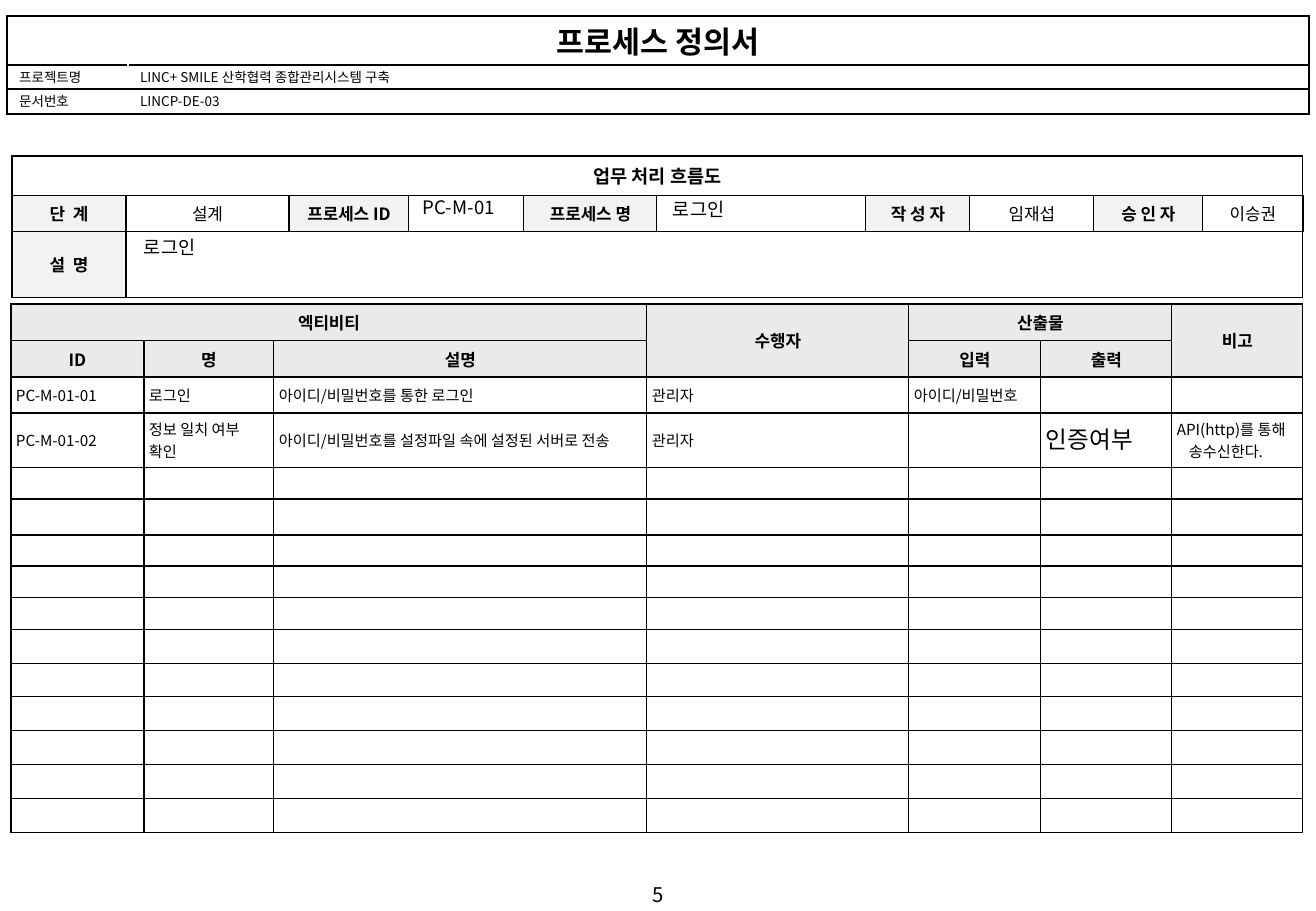
from lxml import etree
from pptx import Presentation
from pptx.dml.color import RGBColor
from pptx.enum.text import MSO_ANCHOR, PP_ALIGN
from pptx.oxml.ns import qn
from pptx.util import Pt

PX = 7526  # EMU per pixel
TOP, MIDDLE = MSO_ANCHOR.TOP, MSO_ANCHOR.MIDDLE
LEFT, CENTER = PP_ALIGN.LEFT, PP_ALIGN.CENTER
FONT = "Noto Sans CJK KR"
BLACK, WHITE = "000000", "FFFFFF"


def write(frame, text, size=9, bold=False, align=LEFT, font=FONT, hanging=0):
    """Put text into a frame and format every paragraph of it."""
    frame.word_wrap = True
    frame.text = text
    for paragraph in frame.paragraphs:
        paragraph.alignment = align
        if hanging:
            properties = paragraph._p.get_or_add_pPr()
            properties.set("marL", str(hanging * PX))
            properties.set("indent", str(-hanging * PX))
        if not text:
            etree.SubElement(paragraph._p, qn("a:endParaRPr"), sz=str(size * 100))
        for run in paragraph.runs:
            run.font.size = Pt(size)
            run.font.bold = bold
            run.font.name = font
            run.font.color.rgb = RGBColor.from_string(BLACK)
            etree.SubElement(run._r.get_or_add_rPr(), qn("a:ea"), typeface=font)


def outline(cell, borders):
    """Draw the cell borders given as side: (colour, points)."""
    for side in "LRTB":
        colour, points = borders[side]
        line = etree.SubElement(cell._tc.get_or_add_tcPr(), qn("a:ln" + side), w=str(Pt(points)))
        fill = etree.SubElement(line, qn("a:solidFill"))
        etree.SubElement(fill, qn("a:srgbClr"), val=colour)


document_header = dict(
    left=7, top=16, widths=[121, 1181], heights=[49, 24, 25],
    rows=[["프로세스 정의서"],
          ["프로젝트명", "LINC+ SMILE 산학협력 종합관리시스템 구축"],
          ["문서번호", "LINCP-DE-03"]],
    merges=[(0, 0, 0, 1)], sizes=[18, 8, 8], labels=set(), label_fill=WHITE,
    inner=1, heavy="LRTB", anchor=TOP, align=LEFT)

process_summary = dict(
    left=12, top=156, heights=[39, 36, 66],
    widths=[114, 163, 120, 115, 133, 209, 104, 124, 109, 100],
    rows=[["업무 처리 흐름도"],
          ["단  계", "설계", "프로세스 ID", "", "프로세스 명", "",
           "작 성 자", "임재섭", "승 인 자", "이승권"],
          ["설  명"]],
    merges=[(0, 0, 0, 9), (2, 1, 2, 9)], sizes=[11, 10, 10],
    labels={(1, c) for c in range(0, 10, 2)} | {(2, 0)}, label_fill="F2F2F2",
    inner=0.75, heavy="LRTB", anchor=MIDDLE, align=CENTER)

activity_list = dict(
    left=11, top=304, widths=[133, 130, 373, 262, 132, 131, 131],
    heights=[36, 36, 36, 54, 32, 36, 31, 32, 32, 34, 33] + [34] * 4,
    rows=[["엑티비티", "", "", "수행자", "산출물", "", "비고"],
          ["ID", "명", "설명", "", "입력", "출력"],
          ["PC-M-01-01", "로그인", "아이디/비밀번호를 통한 로그인", "관리자", "아이디/비밀번호"],
          ["PC-M-01-02", "정보 일치 여부\n확인",
           "아이디/비밀번호를 설정파일 속에 설정된 서버로 전송", "관리자"]] + [[]] * 11,
    merges=[(0, 0, 0, 2), (0, 3, 1, 3), (0, 4, 0, 5), (0, 6, 1, 6)],
    sizes=[10, 10] + [9] * 13,
    labels={(r, c) for r in range(2) for c in range(7)}, label_fill="EAEAEA",
    inner=0.75, heavy="L", anchor=MIDDLE, align=LEFT)

prs = Presentation()
prs.slide_width, prs.slide_height = 1316 * PX, 911 * PX
slide = prs.slides.add_slide(prs.slide_layouts[6])

grids = []
for part in (document_header, process_summary, activity_list):
    widths, heights = part["widths"], part["heights"]
    last_row, last_column = len(heights) - 1, len(widths) - 1
    grid = slide.shapes.add_table(
        len(heights), len(widths), part["left"] * PX, part["top"] * PX,
        sum(widths) * PX, sum(heights) * PX).table
    grids.append(grid)
    grid.first_row = grid.horz_banding = False
    for column, width in zip(grid.columns, widths):
        column.width = width * PX
    for row, height in zip(grid.rows, heights):
        row.height = height * PX
    for top, left, bottom, right in part["merges"]:
        grid.cell(top, left).merge(grid.cell(bottom, right))

    for r, texts in enumerate(part["rows"]):
        for c in range(len(widths)):
            cell = grid.cell(r, c)
            label = (r, c) in part["labels"]
            heading = label or r == 0
            outer = {"L": c == 0, "R": c == last_column, "T": r == 0, "B": r == last_row}
            borders = {side: (BLACK, 1 if edge and side in part["heavy"] else part["inner"])
                       for side, edge in outer.items()}
            if part is document_header and r > 0:
                borders["R" if c == 0 else "L"] = (WHITE, 1)
            outline(cell, borders)
            if part is activity_list and not label:
                cell.fill.background()
                cell.margin_left = cell.margin_right = 5 * PX
                cell.margin_top = cell.margin_bottom = 5 * PX
            else:
                cell.fill.solid()
                cell.fill.fore_color.rgb = RGBColor.from_string(
                    part["label_fill"] if label else WHITE)
            if part is document_header:
                cell.margin_top = cell.margin_bottom = 2 * PX
            cell.vertical_anchor = part["anchor"]
            write(cell.text_frame, texts[c] if c < len(texts) else "",
                  size=part["sizes"][r], bold=heading,
                  align=CENTER if heading else part["align"])

activities = grids[2]
for column, text, style in [(5, "인증여부", dict(size=14, font="Arial")),
                            (6, "API(http)를 통해 송수신한다.", dict(hanging=12))]:
    frame = activities.cell(3, column).text_frame
    frame.clear()
    write(frame, text, **style)

for text, left, top, width, height, size, align in [
        ("PC-M-01", 411, 190, 113, 35, 11, LEFT),
        ("로그인", 661, 192, 208, 35, 11, LEFT),
        ("로그인", 132, 230, 1158, 35, 11, LEFT),
        ("5", 0, 876, 1316, 36, 12, CENTER)]:
    box = slide.shapes.add_textbox(left * PX, top * PX, width * PX, height * PX)
    write(box.text_frame, text, size=size, align=align)

prs.save("out.pptx")
